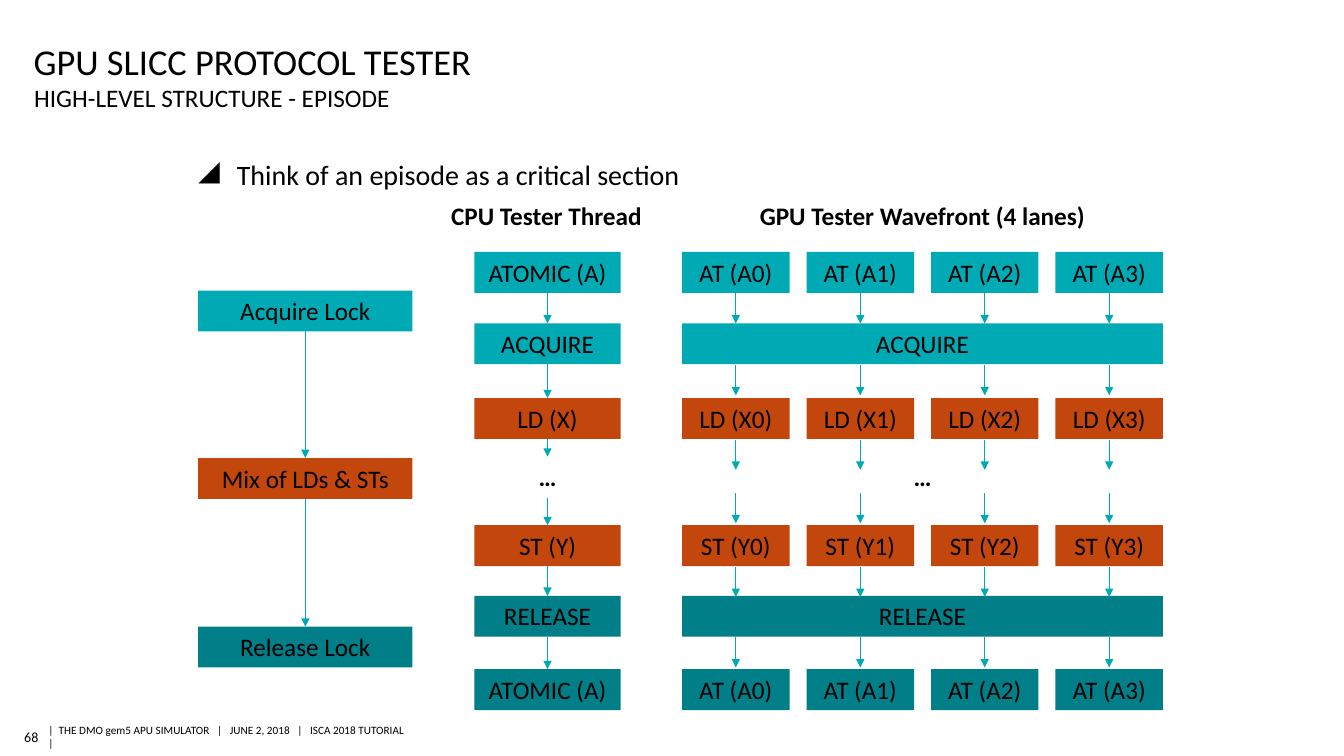
"""Build the slide that shows a tester episode as a critical section."""
from dataclasses import dataclass

from lxml import etree
from pptx import Presentation
from pptx.dml.color import RGBColor
from pptx.enum.shapes import MSO_CONNECTOR, MSO_SHAPE
from pptx.enum.text import MSO_ANCHOR, MSO_AUTO_SIZE, PP_ALIGN
from pptx.oxml.ns import qn
from pptx.util import Pt

LEFT, CENTER, RIGHT = PP_ALIGN.LEFT, PP_ALIGN.CENTER, PP_ALIGN.RIGHT
TOP, MIDDLE, BOTTOM = MSO_ANCHOR.TOP, MSO_ANCHOR.MIDDLE, MSO_ANCHOR.BOTTOM
FIXED = MSO_AUTO_SIZE.NONE
RECTANGLE, STRAIGHT = MSO_SHAPE.RECTANGLE, MSO_CONNECTOR.STRAIGHT


@dataclass(frozen=True)
class Theme:
    """Colours, type sizes and font of the slide."""
    font: str = "Calibri"
    ink: str = "000000"
    acquire: str = "00AAB5"
    access: str = "C3470C"
    release: str = "007F88"
    arrow: str = "00AAB5"
    title: int = 26
    point: int = 20
    label: int = 18
    number: int = 10
    footer: int = 8


THEME = Theme()

TITLE = "GPU SLICC PROTOCOL TESTER"
SUBTITLE = "HIGH-LEVEL STRUCTURE - EPISODE"
POINT = "Think of an episode as a critical section"
PAGE = "68"
FOOTER = "|  THE DMO gem5 APU SIMULATOR   |   JUNE 2, 2018   |   ISCA 2018 TUTORIAL   |"
HEADINGS = [("CPU Tester Thread", 314, 152.6), ("GPU Tester Wavefront (4 lanes)", 531.4, 255)]
PHASES = [
    ("Acquire Lock", 207.6, THEME.acquire),
    ("Mix of LDs & STs", 327.2, THEME.access),
    ("Release Lock", 447.6, THEME.release),
]
STEPS = [
    ("ATOMIC (A)", "AT (A{})", 180, THEME.acquire),
    ("ACQUIRE", "ACQUIRE", 231, THEME.acquire),
    ("LD (X)", "LD (X{})", 284.4, THEME.access),
    ("…", "…", 326.2, None),
    ("ST (Y)", "ST (Y{})", 375.2, THEME.access),
    ("RELEASE", "RELEASE", 425.6, THEME.release),
    ("ATOMIC (A)", "AT (A{})", 478, THEME.release),
]
LANE_ARROW_TOPS = [209.5, 260.8, 314, 352.2, 404.8, 455.2]

LANES, LANE_LEFT, LANE_WIDTH, LANE_PITCH = 4, 487.2, 76.8, 88.9
WAVEFRONT_WIDTH = (LANES - 1) * LANE_PITCH + LANE_WIDTH
PHASE_LEFT, PHASE_WIDTH = 141.6, 153
THREAD_LEFT, THREAD_WIDTH = 338.8, 104.6
STEP_HEIGHT, LANE_ARROW_LENGTH = 29.2, 21.6


def assign(target, values):
    for name, value in values.items():
        setattr(target, name, value)


def write(shape, text, size, align=LEFT, anchor=TOP, insets=(0, 0, 0, 0),
          bold=False, wrap=True, after=0):
    frame = shape.text_frame
    left, top, right, bottom = map(Pt, insets)
    assign(frame, dict(text=text, word_wrap=wrap, auto_size=FIXED, vertical_anchor=anchor,
                       margin_left=left, margin_top=top,
                       margin_right=right, margin_bottom=bottom))
    paragraph = frame.paragraphs[0]
    assign(paragraph, dict(alignment=align, space_after=Pt(after)))
    font = paragraph.runs[0].font
    assign(font, dict(name=THEME.font, size=Pt(size), bold=bold))
    font.color.rgb = RGBColor.from_string(THEME.ink)
    return paragraph


def add_text(box, text, size, **options):
    return write(slide.shapes.add_textbox(*map(Pt, box)), text, size, **options)


def add_step(text, left, top, width, fill=None):
    box = [Pt(value) for value in (left, top, width, STEP_HEIGHT)]
    if fill:
        step = slide.shapes.add_shape(RECTANGLE, *box)
        step.shadow.inherit = False
        step.fill.solid()
        step.fill.fore_color.rgb = RGBColor.from_string(fill)
        step.line.fill.background()
    else:
        step = slide.shapes.add_textbox(*box)
    write(step, text, THEME.label, align=CENTER, insets=(7.2, 3.6, 7.2, 3.6),
          bold=not fill, after=6)
    return step


def add_arrow(x, top, bottom):
    arrow = slide.shapes.add_connector(STRAIGHT, Pt(x), Pt(top), Pt(x), Pt(bottom))
    arrow.line.width = Pt(0.75)
    arrow.line.color.rgb = RGBColor.from_string(THEME.arrow)
    etree.SubElement(arrow.line._get_or_add_ln(), qn("a:tailEnd"), type="triangle")
    etree.SubElement(arrow._element.spPr, qn("a:effectLst"))
    return arrow


def link_down(steps):
    for upper, lower in zip(steps, steps[1:]):
        arrow = add_arrow(0, 0, 0)
        arrow.begin_connect(upper, 2)
        arrow.end_connect(lower, 0)


deck = Presentation()
assign(deck, dict(slide_width=Pt(960), slide_height=Pt(540)))
slide = deck.slides.add_slide(deck.slide_layouts[5])

title = slide.shapes.title
assign(title, dict(left=Pt(24), top=Pt(21.6), width=Pt(820.8), height=Pt(37.4)))
write(title, TITLE, THEME.title, anchor=BOTTOM, insets=(0, 3.6, 0, 0))
add_text((24.5, 59, 820.8, 22.3), SUBTITLE, THEME.label)

point = add_text((141.8, 108.7, 674.6, 36.7), POINT, THEME.point, insets=(0, 3.6, 0, 3.6))
point.space_before = Pt(8)
point_format = point._p.get_or_add_pPr()
point_format.set("marL", str(Pt(27.4)))
point_format.set("indent", str(-Pt(27.4)))
etree.SubElement(point_format, qn("a:buChar"), char="◢")

add_text((15.8, 517, 11.6, 18.7), PAGE, THEME.number, align=RIGHT, anchor=MIDDLE,
         insets=(0, 2.9, 0, 2.9), wrap=False)
add_text((34.6, 517.7, 262.8, 16.6), FOOTER, THEME.footer, anchor=MIDDLE,
         insets=(0, 2.9, 0, 2.9))

for heading, left, width in HEADINGS:
    add_step(heading, left, 139.7, width)

link_down([add_step(text, PHASE_LEFT, top, PHASE_WIDTH, fill) for text, top, fill in PHASES])
link_down([add_step(text, THREAD_LEFT, top, THREAD_WIDTH, fill)
           for text, _, top, fill in STEPS])

lane_lefts = [LANE_LEFT + lane * LANE_PITCH for lane in range(LANES)]
for _, text, top, fill in STEPS:
    if "{}" in text:
        for lane, left in enumerate(lane_lefts):
            add_step(text.format(lane), left, top, LANE_WIDTH, fill)
    else:
        add_step(text, LANE_LEFT, top, WAVEFRONT_WIDTH, fill)

for left in lane_lefts:
    for top in LANE_ARROW_TOPS:
        add_arrow(left + LANE_WIDTH / 2, top, top + LANE_ARROW_LENGTH)

deck.save("out.pptx")
